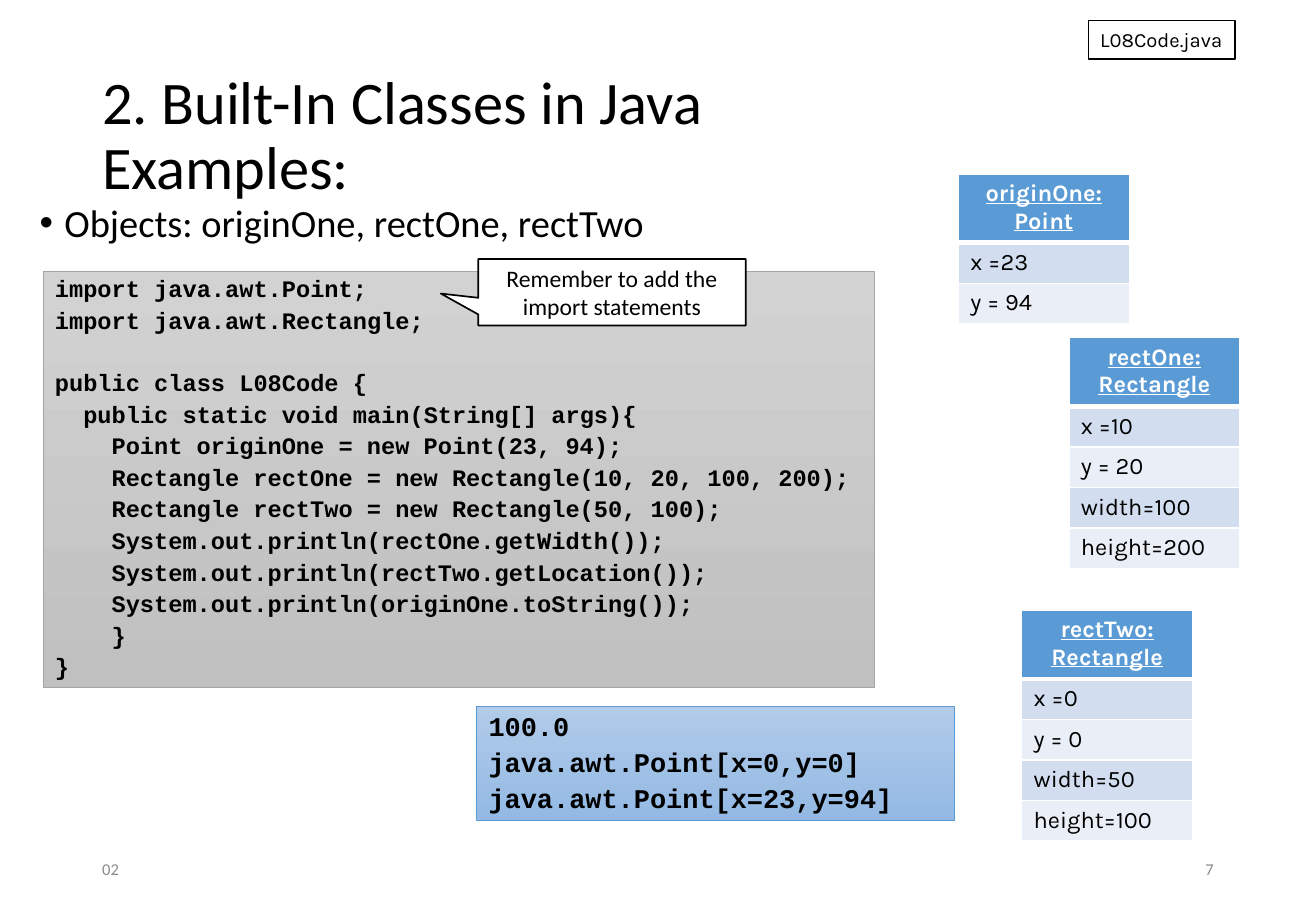
from lxml import etree
from pptx import Presentation
from pptx.dml.color import RGBColor
from pptx.enum.shapes import MSO_SHAPE
from pptx.enum.text import MSO_ANCHOR, PP_ALIGN
from pptx.oxml.ns import qn
from pptx.util import Pt

BLACK = RGBColor(0x00, 0x00, 0x00)
WHITE = RGBColor(0xFF, 0xFF, 0xFF)
FOOTER_GRAY = RGBColor(0x8C, 0x8C, 0x8C)
CODE_TOP = RGBColor(0xD2, 0xD2, 0xD2)
CODE_BOTTOM = RGBColor(0xC0, 0xC0, 0xC0)
CODE_LINE = RGBColor(0xA5, 0xA5, 0xA5)
OUTPUT_TOP = RGBColor(0xB1, 0xCB, 0xE9)
OUTPUT_BOTTOM = RGBColor(0x93, 0xB9, 0xE4)
BLUE = RGBColor(0x5B, 0x9B, 0xD5)
BAND_DARK = RGBColor(0xD2, 0xDE, 0xEF)
BAND_LIGHT = RGBColor(0xEA, 0xEF, 0xF7)

SANS, MONO, LABEL = "Calibri", "Courier New", "Karla"
MONO_WIDTH = 0.6  # character width relative to font size
HEADER_HEIGHT, FIELD_HEIGHT, OBJECT_WIDTH = 40.5, 24, 101.5

# (indent in characters, text, follows an empty line)
CODE = [
    (0, "import java.awt.Point;", False),
    (0, "import java.awt.Rectangle;", False),
    (0, "public class L08Code {", True),
    (2, "public static void main(String[] args){", False),
    (4, "Point originOne = new Point(23, 94);", False),
    (4, "Rectangle rectOne = new Rectangle(10, 20, 100, 200);", False),
    (4, "Rectangle rectTwo = new Rectangle(50, 100);", False),
    (4, "System.out.println(rectOne.getWidth());", False),
    (4, "System.out.println(rectTwo.getLocation());", False),
    (4, "System.out.println(originOne.toString());", False),
    (4, "}", False),
    (0, "}", False),
]
OUTPUT = [(0, line, False) for line in
          ("100.0", "java.awt.Point[x=0,y=0]", "java.awt.Point[x=23,y=94]")]

# (left, top, header, fields)
OBJECTS = [
    (568, 103, "originOne: Point", ["x =23", "y = 94"]),
    (633.5, 200, "rectOne: Rectangle",
     ["x =10", "y = 20", "width=100", "height=200"]),
    (605.5, 361.5, "rectTwo: Rectangle",
     ["x =0", "y = 0", "width=50", "height=100"]),
]


def write(paragraph, text, font, size, color=BLACK, bold=False,
          underline=False, align=PP_ALIGN.LEFT):
    paragraph.text = text
    paragraph.alignment = align
    for run in paragraph.runs:
        run.font.name = font
        run.font.size = Pt(size)
        run.font.bold = bold
        run.font.underline = underline
        run.font.color.rgb = color


def add_text(slide, box, text, size, color=BLACK, align=PP_ALIGN.LEFT,
             anchor=MSO_ANCHOR.MIDDLE):
    frame = slide.shapes.add_textbox(*map(Pt, box)).text_frame
    frame.word_wrap = True
    frame.vertical_anchor = anchor
    write(frame.paragraphs[0], text, SANS, size, color, align=align)
    return frame.paragraphs[0]


def add_bullet(paragraph, indent):
    properties = paragraph._p.get_or_add_pPr()
    properties.set("marL", str(Pt(indent)))
    properties.set("indent", str(-Pt(indent)))
    etree.SubElement(properties, qn("a:buFont")).set("typeface", "Arial")
    etree.SubElement(properties, qn("a:buChar")).set("char", "•")


def add_box(slide, kind, box, line_color, line_width):
    shape = slide.shapes.add_shape(kind, *map(Pt, box))
    shape.shadow.inherit = False
    shape.fill.solid()
    shape.fill.fore_color.rgb = WHITE
    shape.line.color.rgb = line_color
    shape.line.width = Pt(line_width)
    shape.text_frame.word_wrap = True
    return shape


def add_listing(slide, box, lines, size, top_color, bottom_color, line_color):
    shape = add_box(slide, MSO_SHAPE.RECTANGLE, box, line_color, 0.5)
    shape.fill.gradient()
    shape.fill.gradient_angle = 270
    for stop, color in zip(shape.fill.gradient_stops,
                           (top_color, bottom_color)):
        stop.color.rgb = color
    frame = shape.text_frame
    frame.vertical_anchor = MSO_ANCHOR.TOP
    gap, pitch = 0.257 * size, 1.28 * size
    for i, (indent, text, after_empty) in enumerate(lines):
        paragraph = frame.add_paragraph() if i else frame.paragraphs[0]
        write(paragraph, text, MONO, size, bold=True)
        paragraph.line_spacing = 0.9
        if i:
            paragraph.space_before = Pt(gap + pitch * after_empty)
        margin = Pt(indent * MONO_WIDTH * size)
        paragraph._p.get_or_add_pPr().set("marL", str(margin))


def set_borders(cell, widths):
    properties = cell._tc.get_or_add_tcPr()
    for side, width in zip("LRTB", widths):
        line = etree.SubElement(properties, qn("a:ln" + side), w=str(Pt(width)))
        fill = etree.SubElement(line, qn("a:solidFill"))
        etree.SubElement(fill, qn("a:srgbClr"), val=str(WHITE))


def add_object(slide, left, top, header, fields):
    height = HEADER_HEIGHT + FIELD_HEIGHT * len(fields)
    table = slide.shapes.add_table(
        len(fields) + 1, 1, Pt(left), Pt(top),
        Pt(OBJECT_WIDTH), Pt(height)).table
    for i, text in enumerate([header] + fields):
        is_header = i == 0
        table.rows[i].height = Pt(HEADER_HEIGHT if is_header else FIELD_HEIGHT)
        cell = table.cell(i, 0)
        set_borders(cell, (1, 1, 3 if i == 1 else 1, 3 if is_header else 1))
        cell.fill.solid()
        band = BAND_DARK if i % 2 else BAND_LIGHT
        cell.fill.fore_color.rgb = BLUE if is_header else band
        write(cell.text_frame.paragraphs[0], text, LABEL, 14,
              WHITE if is_header else BLACK, is_header, is_header,
              PP_ALIGN.CENTER if is_header else PP_ALIGN.LEFT)


def main():
    prs = Presentation()
    prs.slide_width, prs.slide_height = Pt(780), Pt(540)
    slide = prs.slides.add_slide(prs.slide_layouts[6])

    # Title and bullet
    title = add_text(slide, (53.5, 29, 672.5, 104.5),
                     "2. Built-In Classes in Java\vExamples:", 35.8)
    title.line_spacing = 0.9
    bullet = add_text(slide, (16.5, 117.5, 672.5, 36),
                      "Objects: originOne, rectOne, rectTwo", 22.8,
                      anchor=MSO_ANCHOR.TOP)
    bullet.line_spacing = 0.9
    add_bullet(bullet, 14.6)

    # Footer
    add_text(slide, (53.5, 500.5, 175.5, 29), "02", 9.8, FOOTER_GRAY)
    add_text(slide, (551, 500.5, 175.5, 29), "7", 9.8, FOOTER_GRAY,
             PP_ALIGN.RIGHT)

    # Code and its output
    add_listing(slide, (25.5, 161, 493, 246.5), CODE, 14,
                CODE_TOP, CODE_BOTTOM, CODE_LINE)
    add_listing(slide, (282.5, 419, 283.5, 67.5), OUTPUT, 16,
                OUTPUT_TOP, OUTPUT_BOTTOM, BLUE)

    # Objects in memory
    for item in OBJECTS:
        add_object(slide, *item)

    # File name
    label = add_box(slide, MSO_SHAPE.RECTANGLE, (645, 12, 87, 23), BLACK, 0.75)
    label.text_frame.word_wrap = False
    write(label.text_frame.paragraphs[0], "L08Code.java", LABEL, 12)

    # Import reminder
    callout = add_box(slide, MSO_SHAPE.RECTANGULAR_CALLOUT,
                      (283.5, 153.5, 158.5, 39.5), BLACK, 1)
    callout.adjustments[0], callout.adjustments[1] = -0.64, 0.02
    write(callout.text_frame.paragraphs[0],
          "Remember to add the import statements", SANS, 14,
          align=PP_ALIGN.CENTER)

    prs.save("out.pptx")


main()
